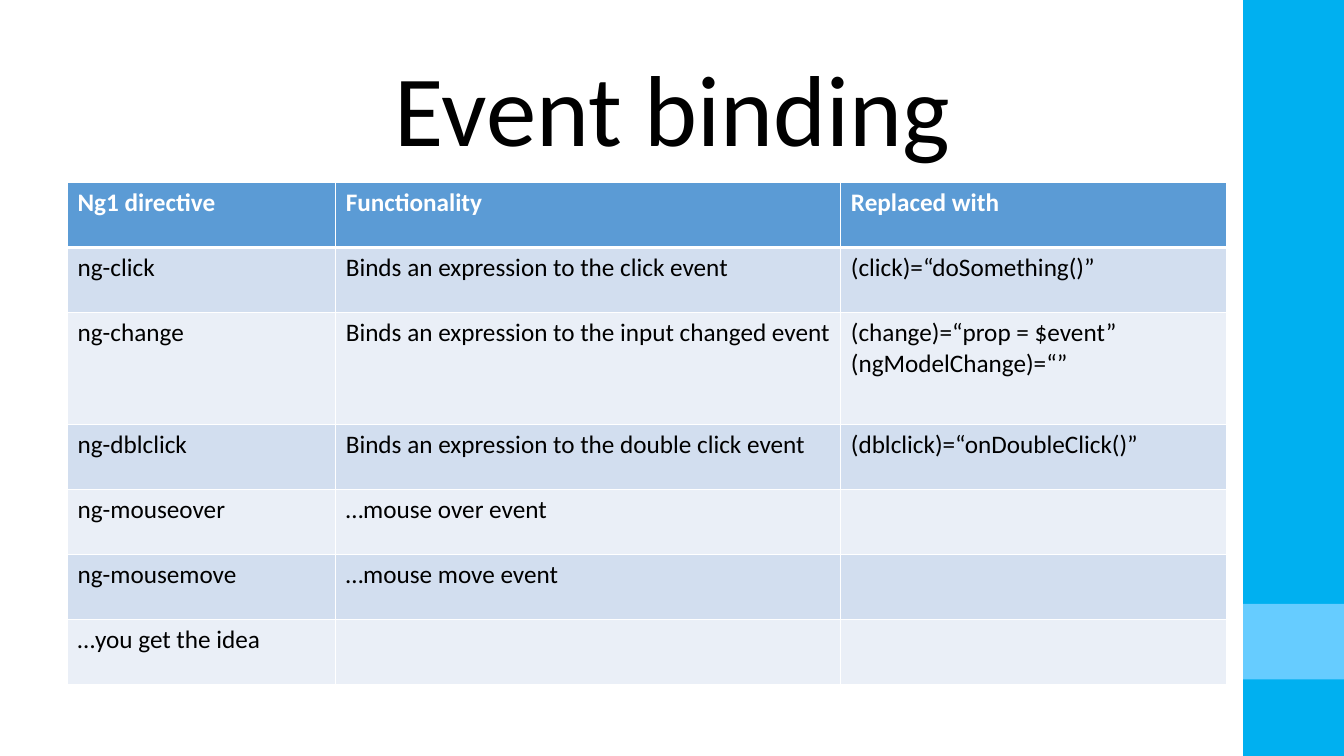
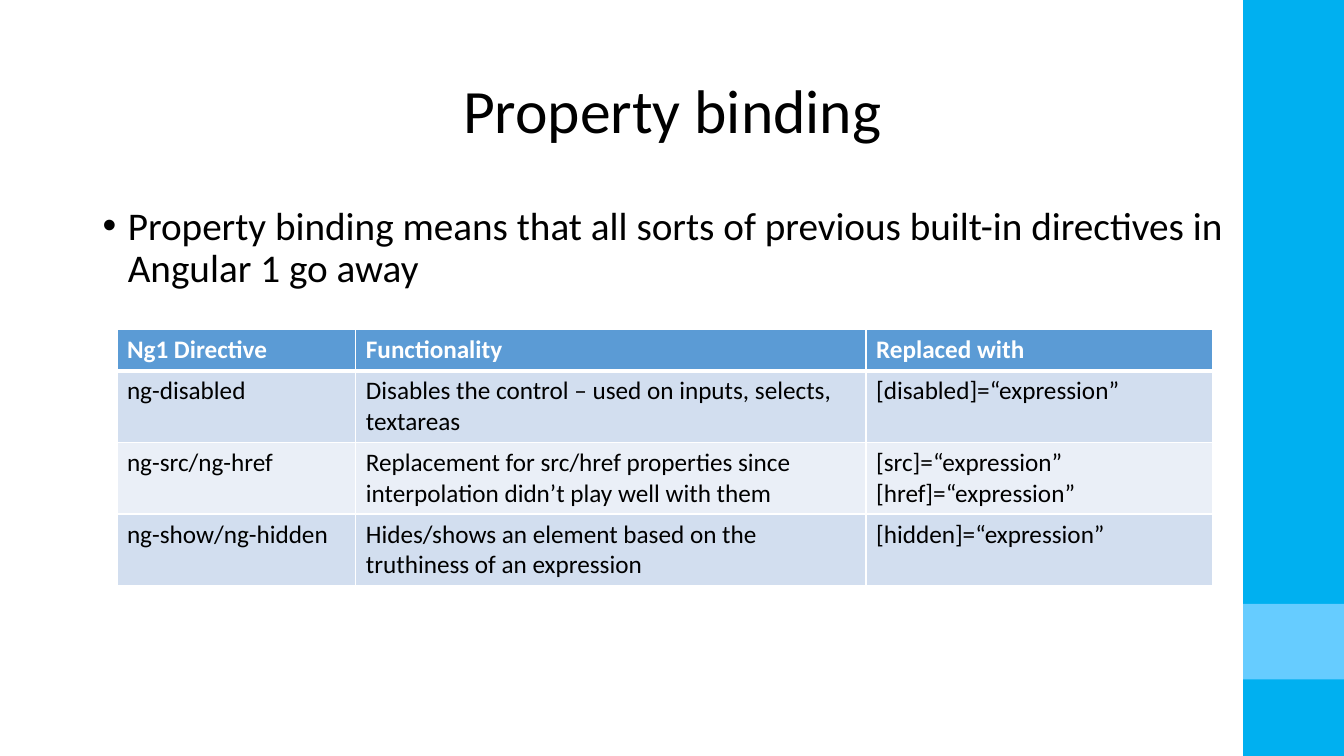
from lxml import etree
from pptx import Presentation
from pptx.dml.color import RGBColor
from pptx.enum.shapes import MSO_SHAPE
from pptx.enum.text import MSO_ANCHOR, PP_ALIGN
from pptx.oxml.ns import qn
from pptx.util import Inches, Pt

RECTANGLE = MSO_SHAPE.RECTANGLE
MIDDLE, TOP = MSO_ANCHOR.MIDDLE, MSO_ANCHOR.TOP
CENTER, LEFT = PP_ALIGN.CENTER, PP_ALIGN.LEFT

COLORS = {
    "band": "00B0F0",
    "band_accent": "66CCFF",
    "header": "5B9BD5",
    "row_dark": "D2DEEF",
    "row_light": "EAEFF7",
    "white": "FFFFFF",
    "black": "000000",
}
FONT = "Calibri"
BAND_LEFT, BAND_WIDTH = 12.33, 1.0
TEXT_LEFT, TEXT_WIDTH = 0.92, 11.5
THIN, THICK = 1, 3

HEADER_FORMAT = {"name": FONT, "size": Pt(18), "bold": True}
CELL_FORMAT = {"name": FONT, "size": Pt(18), "bold": False}
BULLET_FORMAT = {"name": FONT, "size": Pt(28)}

EVENT_ROWS = [
    ("Ng1 directive", "Functionality", "Replaced with"),
    ("ng-click", "Binds an expression to the click event", "(click)=“doSomething()”"),
    ("ng-change", "Binds an expression to the input changed event",
     "(change)=“prop = $event”\n(ngModelChange)=“”"),
    ("ng-dblclick", "Binds an expression to the double click event",
     "(dblclick)=“onDoubleClick()”"),
    ("ng-mouseover", "…mouse over event", ""),
    ("ng-mousemove", "…mouse move event", ""),
    ("…you get the idea", "", ""),
]
PROPERTY_ROWS = [
    ("Ng1 Directive", "Functionality", "Replaced with"),
    ("ng-disabled", "Disables the control – used on inputs, selects, textareas",
     "[disabled]=“expression”"),
    ("ng-src/ng-href",
     "Replacement for src/href properties since interpolation didn’t play well with them",
     "[src]=“expression”\n[href]=“expression”"),
    ("ng-show/ng-hidden",
     "Hides/shows an element based on the truthiness of an expression",
     "[hidden]=“expression”"),
]


def color(name):
    return RGBColor.from_string(COLORS[name])


def apply_format(font, values, color_name):
    for name, value in values.items():
        setattr(font, name, value)
    font.color.rgb = color(color_name)


def add_band(page, top, height, color_name):
    band = page.shapes.add_shape(RECTANGLE, Inches(BAND_LEFT), Inches(top),
                                 Inches(BAND_WIDTH), Inches(height))
    band.shadow.inherit = False
    band.fill.solid()
    band.fill.fore_color.rgb = color(color_name)
    band.line.fill.background()


def add_text(page, text, top, height, values, anchor=TOP, align=LEFT):
    box = page.shapes.add_textbox(Inches(TEXT_LEFT), Inches(top),
                                  Inches(TEXT_WIDTH), Inches(height))
    frame = box.text_frame
    frame.word_wrap = True
    frame.vertical_anchor = anchor
    para = frame.paragraphs[0]
    para.alignment = align
    para.line_spacing = 0.9
    span = para.add_run()
    span.text = text
    apply_format(span.font, values, "black")
    return para


def add_bullet(page, text, top, height):
    para = add_text(page, text, top, height, BULLET_FORMAT)
    properties = para._p.get_or_add_pPr()
    properties.set("marL", str(Inches(0.25)))
    properties.set("indent", str(-Inches(0.25)))
    etree.SubElement(properties, qn("a:buFont"), typeface="Arial")
    etree.SubElement(properties, qn("a:buChar"), char="•")


def set_borders(cell, widths):
    properties = cell._tc.get_or_add_tcPr()
    for side, width in widths.items():
        line = etree.SubElement(properties, qn(f"a:ln{side}"), w=str(Pt(width)))
        fill = etree.SubElement(line, qn("a:solidFill"))
        etree.SubElement(fill, qn("a:srgbClr"), val=COLORS["white"])


def fill_cell(cell, text, row):
    header = row == 0
    set_borders(cell, {"L": THIN, "R": THIN,
                       "T": THICK if row == 1 else THIN,
                       "B": THICK if header else THIN})
    cell.fill.solid()
    fill_name = "header" if header else ("row_light", "row_dark")[row % 2]
    cell.fill.fore_color.rgb = color(fill_name)
    cell.text = text
    for para in cell.text_frame.paragraphs:
        apply_format(para.font, HEADER_FORMAT if header else CELL_FORMAT,
                     "white" if header else "black")
        for span in para.runs:
            apply_format(span.font, HEADER_FORMAT if header else CELL_FORMAT,
                         "white" if header else "black")


def add_grid(page, rows, left, top, widths, heights):
    table = page.shapes.add_table(len(rows), len(widths), Inches(left), Inches(top),
                                  Inches(sum(widths)), Inches(sum(heights))).table
    table.horz_banding = False
    for column, width in zip(table.columns, widths):
        column.width = Inches(width)
    for index, (texts, height) in enumerate(zip(rows, heights)):
        table.rows[index].height = Inches(height)
        for column, text in enumerate(texts):
            fill_cell(table.cell(index, column), text, index)


def add_page(deck, title, title_size):
    page = deck.slides.add_slide(deck.slide_layouts[6])
    add_band(page, 0, 7.5, "band")
    add_band(page, 5.99, 0.75, "band_accent")
    add_text(page, title, 0.4, 1.45, {"name": FONT, "size": Pt(title_size)}, MIDDLE, CENTER)
    return page


def main():
    deck = Presentation()
    deck.slide_width, deck.slide_height = Inches(13.33), Inches(7.5)

    page = add_page(deck, "Event binding", 72)
    add_grid(page, EVENT_ROWS, 0.67, 1.81, [2.66, 5.01, 3.83],
             [0.645, 0.645, 1.11] + [0.645] * 4)

    page = add_page(deck, "Property binding", 44)
    add_bullet(page, "Property binding means that all sorts of previous built-in "
                     "directives in Angular 1 go away", 2, 4.76)
    add_grid(page, PROPERTY_ROWS, 1.16, 3.27, [2.37, 5.06, 3.44], [0.41] + [0.71] * 3)

    deck.save("out.pptx")


if __name__ == "__main__":
    main()
